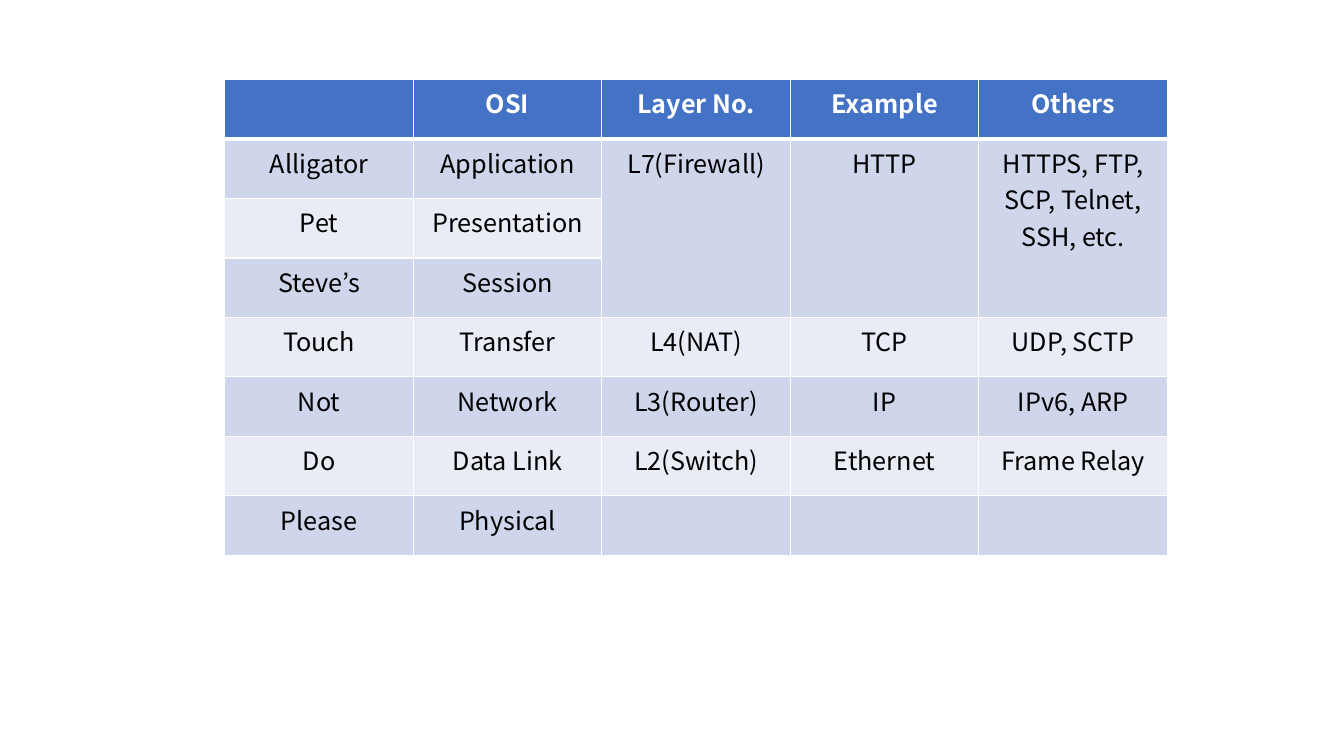
from lxml import etree
from pptx import Presentation
from pptx.dml.color import RGBColor
from pptx.enum.text import PP_ALIGN
from pptx.oxml.ns import qn
from pptx.util import Inches, Pt

CENTER = PP_ALIGN.CENTER
FONT = "Noto Sans CJK KR"
COLORS = {"header": "4472C4", "odd": "CFD5EA", "even": "E9EBF5",
          "border": "FFFFFF", "header_text": "FFFFFF", "text": "000000"}
LEFT, TOP = 2.23, 0.79
COL_WIDTH, ROW_HEIGHT = 1.87, 0.59

ROWS = [
    ["", "OSI", "Layer No.", "Example", "Others"],
    ["Alligator", "Application", "L7(Firewall)", "HTTP",
     "HTTPS, FTP, SCP, Telnet, SSH, etc."],
    ["Pet", "Presentation", "", "", ""],
    ["Steve’s", "Session", "", "", ""],
    ["Touch", "Transfer", "L4(NAT)", "TCP", "UDP, SCTP"],
    ["Not", "Network", "L3(Router)", "IP", "IPv6, ARP"],
    ["Do", "Data Link", "L2(Switch)", "Ethernet", "Frame Relay"],
    ["Please", "Physical", "", "", ""],
]


def add_border(cell, side, width):
    """Draw one solid border (lnL, lnR, lnT or lnB) of a cell; call before filling it."""
    line = etree.SubElement(cell._tc.get_or_add_tcPr(), qn(f"a:{side}"), w=str(Pt(width)))
    fill = etree.SubElement(line, qn("a:solidFill"))
    etree.SubElement(fill, qn("a:srgbClr"), val=COLORS["border"])


prs = Presentation()
prs.slide_width, prs.slide_height = Inches(13.33), Inches(7.5)
s = prs.slides.add_slide(prs.slide_layouts[6])

n_rows, n_cols = len(ROWS), len(ROWS[0])
table = s.shapes.add_table(n_rows, n_cols, Inches(LEFT), Inches(TOP),
                           Inches(COL_WIDTH * n_cols), Inches(ROW_HEIGHT * n_rows)).table
for column in table.columns:
    column.width = Inches(COL_WIDTH)
for row in table.rows:
    row.height = Inches(ROW_HEIGHT)

# The three upper layers share their layer number and protocols
for c in range(2, n_cols):
    table.cell(1, c).merge(table.cell(3, c))

for r, texts in enumerate(ROWS):
    is_header = r == 0
    fill_name = "header" if is_header else "odd" if r % 2 else "even"
    for c, text in enumerate(texts):
        cell = table.cell(r, c)
        widths = {"lnL": 1, "lnR": 1, "lnT": 3 if r == 1 else 1, "lnB": 3 if is_header else 1}
        for side, width in widths.items():
            add_border(cell, side, width)
        cell.fill.solid()
        cell.fill.fore_color.rgb = RGBColor.from_string(COLORS[fill_name])
        cell.text = text
        p = cell.text_frame.paragraphs[0]
        p.alignment = CENTER
        p.font.name, p.font.size, p.font.bold = FONT, Pt(18), is_header
        text_color = COLORS["header_text" if is_header else "text"]
        p.font.color.rgb = RGBColor.from_string(text_color)

prs.save("out.pptx")
